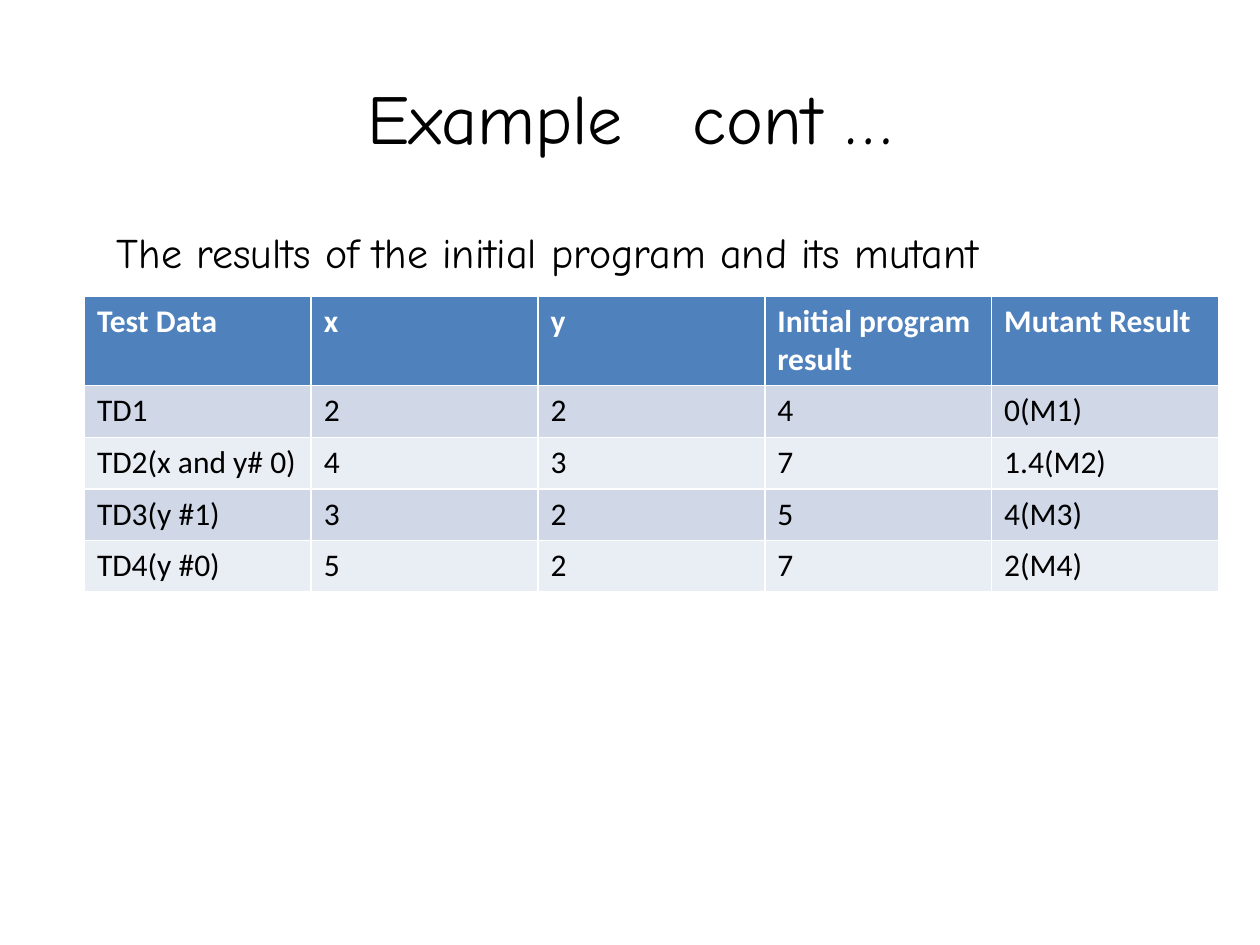
from pptx import Presentation
from pptx.dml.color import RGBColor
from pptx.enum.text import MSO_ANCHOR, PP_ALIGN
from pptx.util import Inches, Pt

CENTER, LEFT = PP_ALIGN.CENTER, PP_ALIGN.LEFT
MIDDLE = MSO_ANCHOR.MIDDLE
TITLE_ONLY = 5
COLORS = {"text": "000000", "header_text": "FFFFFF", "header": "4F81BD",
          "odd_row": "D0D8E8", "even_row": "E9EDF4"}
COLUMN_WIDTH = 1.8
HEADER_HEIGHT, ROW_HEIGHT = 0.7, 0.41

RESULTS = [
    ["Test Data", "x", "y", "Initial program result", "Mutant Result"],
    ["TD1", "2", "2", "4", "0(M1)"],
    ["TD2(x and y# 0)", "4", "3", "7", "1.4(M2)"],
    ["TD3(y #1)", "3", "2", "5", "4(M3)"],
    ["TD4(y #0)", "5", "2", "7", "2(M4)"],
]


def write(frame, text, color, align=LEFT, **font_format):
    para = frame.paragraphs[0]
    para.alignment = align
    span = para.add_run()
    span.text = text
    span.font.color.rgb = RGBColor.from_string(COLORS[color])
    for name, value in font_format.items():
        setattr(span.font, name, value)


deck = Presentation()
deck.slide_width, deck.slide_height = Inches(10), Inches(7.5)
page = deck.slides.add_slide(deck.slide_layouts[TITLE_ONLY])

# Title
title = page.shapes.title
title.left, title.top, title.width, title.height = map(Inches, (0.5, 0.3, 9, 1.25))
title.text_frame.vertical_anchor = MIDDLE
write(title.text_frame, "Example   cont …", "text", CENTER,
      size=Pt(40), name="Comic Neue")

# Results table: the built-in style supplies the white cell borders
row_count, column_count = len(RESULTS), len(RESULTS[0])
table_height = HEADER_HEIGHT + ROW_HEIGHT * (row_count - 1)
table = page.shapes.add_table(
    row_count, column_count, Inches(0.67), Inches(2.35),
    Inches(COLUMN_WIDTH * column_count), Inches(table_height)).table
for column in table.columns:
    column.width = Inches(COLUMN_WIDTH)

for row_index, values in enumerate(RESULTS):
    is_header = row_index == 0
    table.rows[row_index].height = Inches(HEADER_HEIGHT if is_header else ROW_HEIGHT)
    band = "header" if is_header else "odd_row" if row_index % 2 else "even_row"
    for column_index, value in enumerate(values):
        cell = table.cell(row_index, column_index)
        cell.fill.solid()
        cell.fill.fore_color.rgb = RGBColor.from_string(COLORS[band])
        write(cell.text_frame, value, "header_text" if is_header else "text",
              size=Pt(18), name="Calibri", bold=is_header)

# Caption above the table
caption = page.shapes.add_textbox(*map(Inches, (0.83, 1.75, 8.75, 0.5)))
caption.text_frame.word_wrap = True
write(caption.text_frame, "The results of the initial program and its mutant", "text",
      size=Pt(24), name="Comic Neue")

deck.save("out.pptx")
